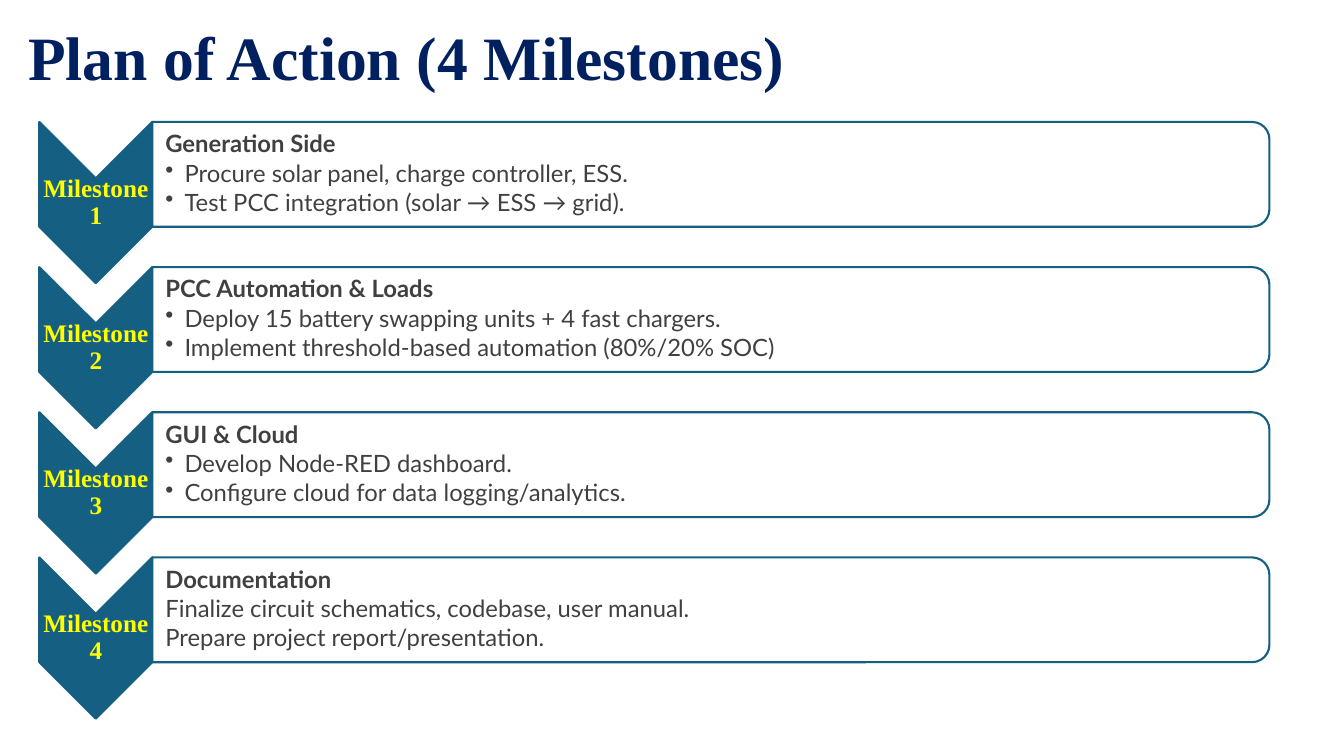
"""Build the four-milestone plan of action slide."""
import pptx
import pptx.dml.color
import pptx.enum.shapes
import pptx.enum.text
import pptx.oxml
import pptx.util
from pptx.util import Inches

COLORS = {"title": "002060", "teal": "156082", "white": "FFFFFF",
          "label": "FFFF00", "body": "404040"}
MILESTONES = [
    ("Generation Side", "•",
     ["Procure solar panel, charge controller, ESS.",
      "Test PCC integration (solar → ESS → grid)."]),
    ("PCC Automation & Loads", "•",
     ["Deploy 15 battery swapping units + 4 fast chargers.",
      "Implement threshold-based automation (80%/20% SOC)"]),
    ("GUI & Cloud", "•",
     ["Develop Node-RED dashboard.",
      "Configure cloud for data logging/analytics."]),
    ("Documentation", None,
     ["Finalize circuit schematics, codebase, user manual.",
      "Prepare project report/presentation."]),
]
ROW_PITCH = 1.44
NAMESPACE = "http://schemas.openxmlformats.org/drawingml/2006/main"


def format_text(paragraph, font_name, size, color, bold, space_after=0):
    paragraph.line_spacing = 0.9
    paragraph.space_after = pptx.util.Pt(space_after)
    for run in paragraph.runs:
        run.font.name = font_name
        run.font.size = pptx.util.Pt(size)
        run.font.bold = bold
        run.font.color.rgb = pptx.dml.color.RGBColor.from_string(COLORS[color])


def add_rotated(preset, left, top, width, height, fill):
    shape = slide.shapes.add_shape(
        preset, Inches(left), Inches(top), Inches(width), Inches(height))
    shape.rotation = 90
    shape.shadow.inherit = False
    shape.fill.solid()
    shape.fill.fore_color.rgb = pptx.dml.color.RGBColor.from_string(COLORS[fill])
    shape.line.color.rgb = pptx.dml.color.RGBColor.from_string(COLORS["teal"])
    shape.line.width = pptx.util.Pt(1.5)
    return shape


presentation = pptx.Presentation()
presentation.slide_width = Inches(13.33)
presentation.slide_height = Inches(7.5)
slide = presentation.slides.add_slide(presentation.slide_layouts[5])

title = slide.shapes.title
title.left, title.top = Inches(0.18), Inches(0.19)
title.width, title.height = Inches(11.5), Inches(0.83)
title.text_frame.text = "Plan of Action (4 Milestones)"
title.text_frame.auto_size = pptx.enum.text.MSO_AUTO_SIZE.NONE
title.text_frame.vertical_anchor = pptx.enum.text.MSO_ANCHOR.MIDDLE
title.text_frame.paragraphs[0].alignment = pptx.enum.text.PP_ALIGN.LEFT
format_text(title.text_frame.paragraphs[0], "Times New Roman", 44, "title", True)

for index, (heading, bullet, tasks) in enumerate(MILESTONES):
    offset = index * ROW_PITCH
    add_rotated(pptx.enum.shapes.MSO_SHAPE.CHEVRON,
                0.15, 1.45 + offset, 1.6, 1.12, "teal")
    panel = add_rotated(pptx.enum.shapes.MSO_SHAPE.ROUND_2_SAME_RECTANGLE,
                        6.53, -3.81 + offset, 1.04, 11.08, "white")
    panel_color = panel.fill._xPr.find(f".//{{{NAMESPACE}}}srgbClr")
    panel_color.append(pptx.oxml.parse_xml(
        f'<a:alpha xmlns:a="{NAMESPACE}" val="90000"/>'))

    label = slide.shapes.add_textbox(
        Inches(0.39), Inches(1.77 + offset), Inches(1.12), Inches(0.48))
    details = slide.shapes.add_textbox(
        Inches(1.51), Inches(1.26 + offset), Inches(11.02), Inches(0.94))
    for box, left_inset in ((label, 0.01), (details, 0.13)):
        frame = box.text_frame
        frame.word_wrap = True
        frame.vertical_anchor = pptx.enum.text.MSO_ANCHOR.MIDDLE
        frame.margin_left = Inches(left_inset)
        frame.margin_top = frame.margin_right = frame.margin_bottom = Inches(0.01)

    label.text_frame.text = f"Milestone {index + 1}"
    label.text_frame.paragraphs[0].alignment = pptx.enum.text.PP_ALIGN.CENTER
    format_text(label.text_frame.paragraphs[0], "Times New Roman", 18, "label", True)

    details.text_frame.text = "\n".join([heading, *tasks])
    for line, paragraph in enumerate(details.text_frame.paragraphs):
        if bullet and line > 0:
            properties = paragraph._p.get_or_add_pPr()
            properties.set("marL", str(Inches(0.19)))
            properties.set("indent", str(Inches(-0.19)))
            properties.append(pptx.oxml.parse_xml(
                f'<a:buChar xmlns:a="{NAMESPACE}" char="{bullet}"/>'))
        format_text(paragraph, "Lato", 17, "body", line == 0, 2.5)

presentation.save("out.pptx")
